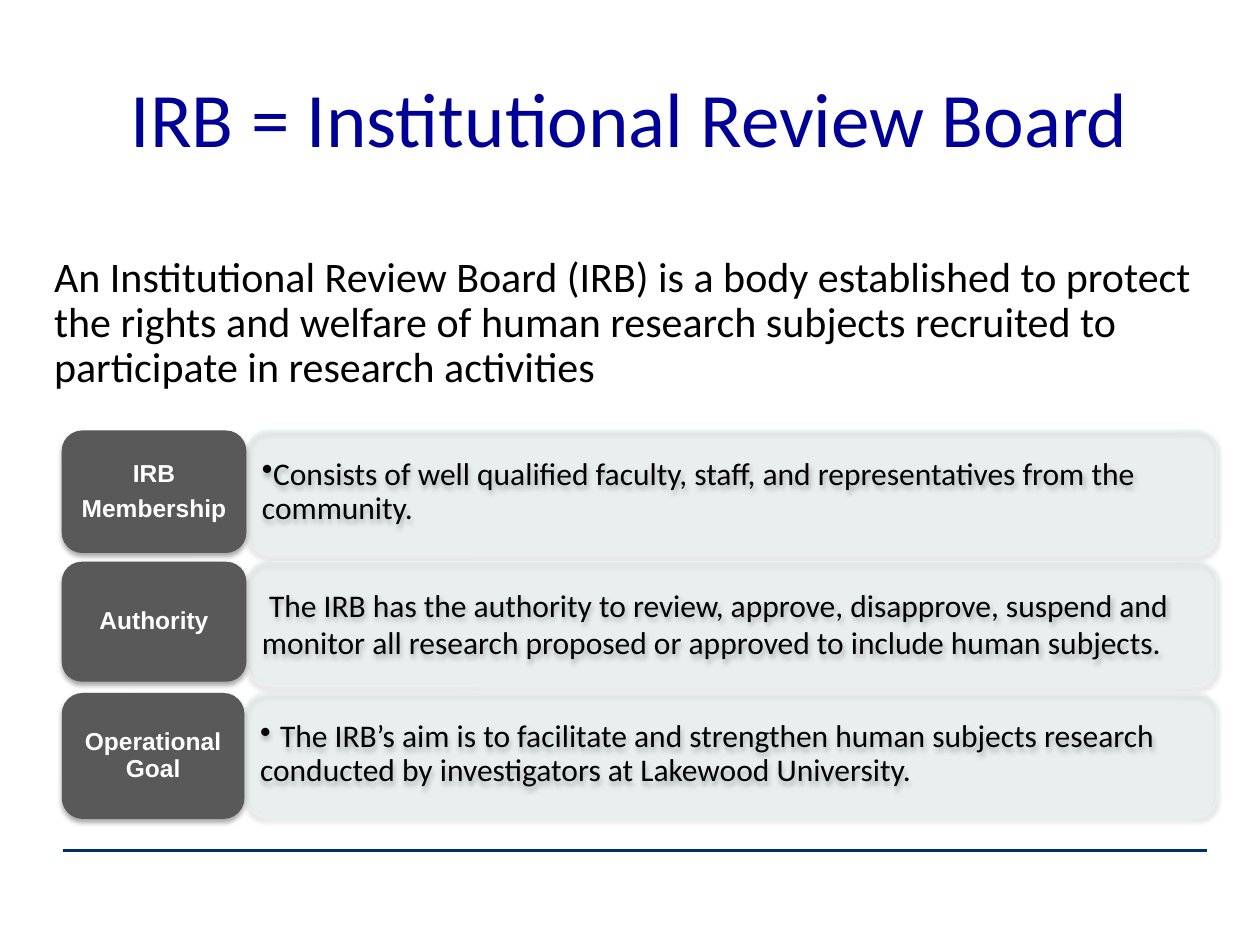
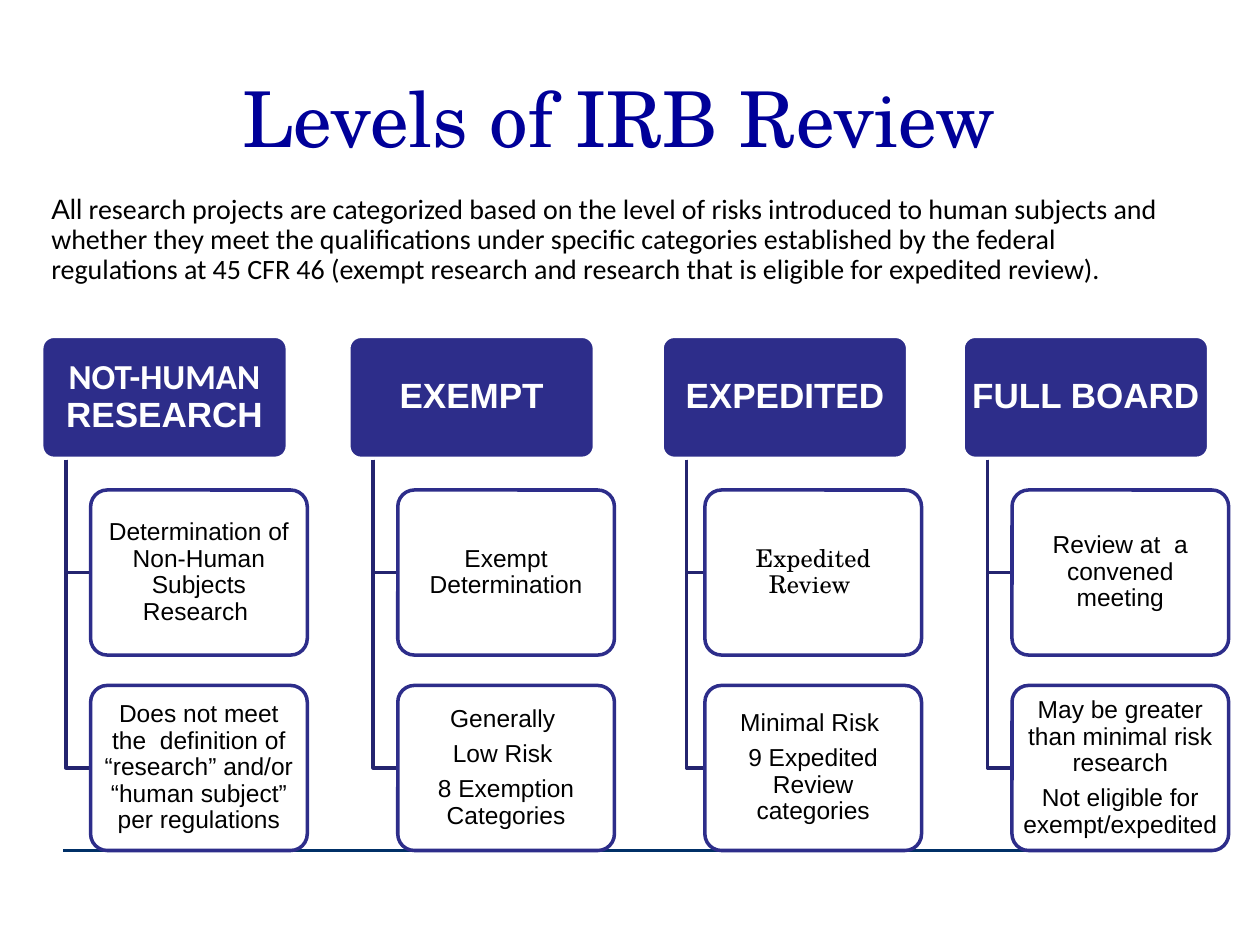
from lxml.etree import SubElement
from pptx import Presentation
from pptx.dml.color import RGBColor
from pptx.enum.shapes import MSO_CONNECTOR, MSO_SHAPE
from pptx.enum.text import MSO_ANCHOR, PP_ALIGN
from pptx.oxml.ns import qn
from pptx.util import Pt

TITLE_BLUE = RGBColor(0x00, 0x00, 0x99)
RULE_BLUE = RGBColor(0x00, 0x30, 0x67)
HEADER_BLUE = RGBColor(0x2D, 0x2D, 0x8A)
BRANCH_BLUE = RGBColor(0x24, 0x24, 0x6F)
PANEL_TEAL = RGBColor(0xBB, 0xE0, 0xE3)
PANEL_EDGE = RGBColor(0xE7, 0xF3, 0xF4)
LABEL_GREY = RGBColor(0x59, 0x59, 0x59)
BLACK = RGBColor(0, 0, 0)
WHITE = RGBColor(0xFF, 0xFF, 0xFF)

SANS, BODY, SERIF = "Arial", "Calibri", "TeX Gyre Schola"

# Label, label width, label height, statement runs, bulleted
IRB_FACTS = [
    (["IRB", "Membership"], 105.5, 70,
     [("Consists of well qualified faculty, staff, and representatives "
       "from the community.", BODY)], True),
    (["Authority"], 105.5, 68.5,
     [(" The IRB has the authority to review, approve, disapprove, suspend and "
       "monitor all research proposed or approved to include human subjects.", BODY)], False),
    (["Operational Goal"], 104.4, 72,
     [(" ", SERIF),
      ("The IRB’s aim is to facilitate and strengthen human subjects research "
       "conducted by investigators at Lakewood University.", BODY)], True),
]

# Header runs, distance of header left of its boxes, font of first box, box texts
REVIEW_LEVELS = [
    ([("NOT-HUMAN ", BODY), ("RESEARCH", SANS)], 28, SANS,
     [["Determination of Non-Human Subjects Research "],
      ["Does not meet the  definition of “research” and/or “human subject” per regulations"]]),
    ([("EXEMPT", SANS)], 28, SANS,
     [["Exempt Determination"],
      ["Generally ", "Low Risk ", "8 Exemption Categories"]]),
    ([("EXPEDITED", SANS)], 24.5, SERIF,
     [["Expedited Review "],
      ["Minimal Risk ", "9 Expedited Review categories"]]),
    ([("FULL BOARD", SANS)], 28, SANS,
     [["Review at  a convened meeting"],
      ["May be greater than minimal risk research", "Not eligible for exempt/expedited"]]),
]


def in_font(lines, font):
    """Turn plain lines into paragraphs of one run each."""
    return [[(line, font)] for line in lines]


def write(frame, paragraphs, size, color, align=PP_ALIGN.LEFT, spacing=0.9,
          after=0, bold=False, anchor=MSO_ANCHOR.MIDDLE, insets=None):
    """Fill a text frame; each paragraph is a list of (text, font) runs."""
    frame.word_wrap = True
    frame.vertical_anchor = anchor
    if insets:
        frame.margin_left = frame.margin_right = Pt(insets[0])
        frame.margin_top = frame.margin_bottom = Pt(insets[1])
    for index, runs in enumerate(paragraphs):
        paragraph = frame.add_paragraph() if index else frame.paragraphs[0]
        paragraph.alignment = align
        paragraph.line_spacing = spacing
        paragraph.space_after = Pt(after)
        for text, font in runs:
            run = paragraph.add_run()
            run.text = text
            run.font.name = font
            run.font.size = Pt(size)
            run.font.bold = bold
            run.font.color.rgb = color


def set_opacity(color_parent, percent):
    color = next(color_parent.iter(qn("a:srgbClr")))
    SubElement(color, qn("a:alpha"), val=str(percent * 1000))


def add_soft_shadow(shape):
    effects = shape._element.spPr.find(qn("a:effectLst"))
    shadow = SubElement(effects, qn("a:outerShdw"), blurRad=str(Pt(3.1)),
                        dist=str(Pt(1.8)), dir="5400000", rotWithShape="0")
    SubElement(shadow, qn("a:srgbClr"), val="000000")
    set_opacity(shadow, 35)


def add_bullet(paragraph):
    properties = paragraph._p.get_or_add_pPr()
    properties.set("marL", "0")
    properties.set("indent", "0")
    SubElement(properties, qn("a:buChar"), char="•")


def add_card(slide, left, top, width, height, fill, edge=None, edge_width=2,
             opacity=None, corner=None):
    card = slide.shapes.add_shape(MSO_SHAPE.ROUNDED_RECTANGLE,
                                  Pt(left), Pt(top), Pt(width), Pt(height))
    card.shadow.inherit = False
    if corner:
        card.adjustments[0] = corner
    card.fill.solid()
    card.fill.fore_color.rgb = fill
    if opacity:
        set_opacity(card._element.spPr.find(qn("a:solidFill")), opacity)
    if edge is None:
        card.line.fill.background()
    else:
        card.line.color.rgb = edge
        card.line.width = Pt(edge_width)
    return card


def add_text(slide, left, top, width, height, paragraphs, size, color, **style):
    box = slide.shapes.add_textbox(Pt(left), Pt(top), Pt(width), Pt(height))
    write(box.text_frame, paragraphs, size, color, **style)


def add_titled_slide(deck, title, font):
    """Add a blank slide with the footer rule and the title."""
    slide = deck.slides.add_slide(deck.slide_layouts[6])
    rule = slide.shapes.add_connector(MSO_CONNECTOR.STRAIGHT,
                                      Pt(36), Pt(486), Pt(690), Pt(486))
    rule.line.color.rgb = RULE_BLUE
    rule.line.width = Pt(2.25)
    SubElement(rule._element.spPr, qn("a:effectLst"))
    add_text(slide, 36, 21.6, 648, 90, [[(title, font)]], 44, TITLE_BLUE,
             align=PP_ALIGN.CENTER, spacing=1.0)
    return slide


def add_fact_row(slide, top, label, label_width, label_height, statement, bulleted):
    label_left, panel_right = 35.3, 695.3
    panel_left = label_left + label_width + 0.5
    panel = add_card(slide, panel_left, top, panel_right - panel_left, 70.5,
                     PANEL_TEAL, PANEL_EDGE, 0.75, opacity=15)
    set_opacity(panel._element.spPr.find(qn("a:ln")), 90)
    add_soft_shadow(panel)
    write(panel.text_frame, [statement], 18, BLACK, insets=(5, 2.9),
          spacing=0.9 if bulleted else 1.0, after=2.7 if bulleted else 0)
    if bulleted:
        add_bullet(panel.text_frame.paragraphs[0])

    tag = add_card(slide, label_left, top, label_width, label_height, LABEL_GREY)
    add_soft_shadow(tag)
    write(tag.text_frame, in_font(label, SANS), 14, WHITE, align=PP_ALIGN.CENTER,
          after=4.9, bold=True, insets=(4, 2.2))


def add_branch(slide, trunk_x, top, box_left, box_middle):
    """Draw the elbow from a header down to the side of a box."""
    builder = slide.shapes.build_freeform(Pt(trunk_x), Pt(top))
    builder.add_line_segments([(Pt(trunk_x), Pt(box_middle)),
                               (Pt(box_left), Pt(box_middle))], close=False)
    branch = builder.convert_to_shape()
    branch.shadow.inherit = False
    branch.fill.background()
    branch.line.color.rgb = BRANCH_BLUE
    branch.line.width = Pt(2)


def add_level_column(slide, box_left, header, header_shift, first_font, details):
    header_left = box_left - header_shift
    heading = add_card(slide, header_left, 192.2, 140.4, 69.8, HEADER_BLUE, WHITE, corner=0.1)
    write(heading.text_frame, [header], 20, WHITE, align=PP_ALIGN.CENTER,
          after=7, bold=True, insets=(2.5, 2))
    box_height = 94.3
    for index, lines in enumerate(details):
        box_top = 280 + 111.7 * index
        add_branch(slide, header_left + 14, 262.6, box_left, box_top + box_height / 2)
        box = add_card(slide, box_left, box_top, 123.8, box_height, WHITE,
                       HEADER_BLUE, opacity=90, corner=0.1)
        font = SANS if index else first_font
        write(box.text_frame, in_font(lines, font), 14, BLACK,
              align=PP_ALIGN.CENTER, after=4.9, insets=(2, 1.4))


def build_board_slide(deck):
    slide = add_titled_slide(deck, "IRB = Institutional Review Board", BODY)
    purpose = ("An Institutional Review Board (IRB) is a body established to protect "
               "the rights and welfare of human research subjects recruited to "
               "participate in research activities")
    add_text(slide, 23.8, 142.6, 672, 138, [[(purpose, BODY)]], 24, BLACK,
             anchor=MSO_ANCHOR.TOP)
    for index, fact in enumerate(IRB_FACTS):
        add_fact_row(slide, 246 + 75 * index, *fact)


def build_levels_slide(deck):
    slide = add_titled_slide(deck, "Levels of IRB Review ", SERIF)
    basis = [("All", SANS),
             (" research projects are categorized based on the level of risks introduced "
              "to human subjects and whether they meet the qualifications under specific "
              "categories established by the federal regulations at 45 CFR 46 (exempt "
              "research and research that is eligible for expedited review).", BODY)]
    add_text(slide, 22.3, 108, 651, 60, [basis], 16, BLACK, anchor=MSO_ANCHOR.TOP)
    for index, level in enumerate(REVIEW_LEVELS):
        add_level_column(slide, 51.8 + 175.5 * index, *level)


def main():
    deck = Presentation()
    deck.slide_width, deck.slide_height = Pt(720), Pt(540)
    build_board_slide(deck)
    build_levels_slide(deck)
    deck.save("out.pptx")


if __name__ == "__main__":
    main()
